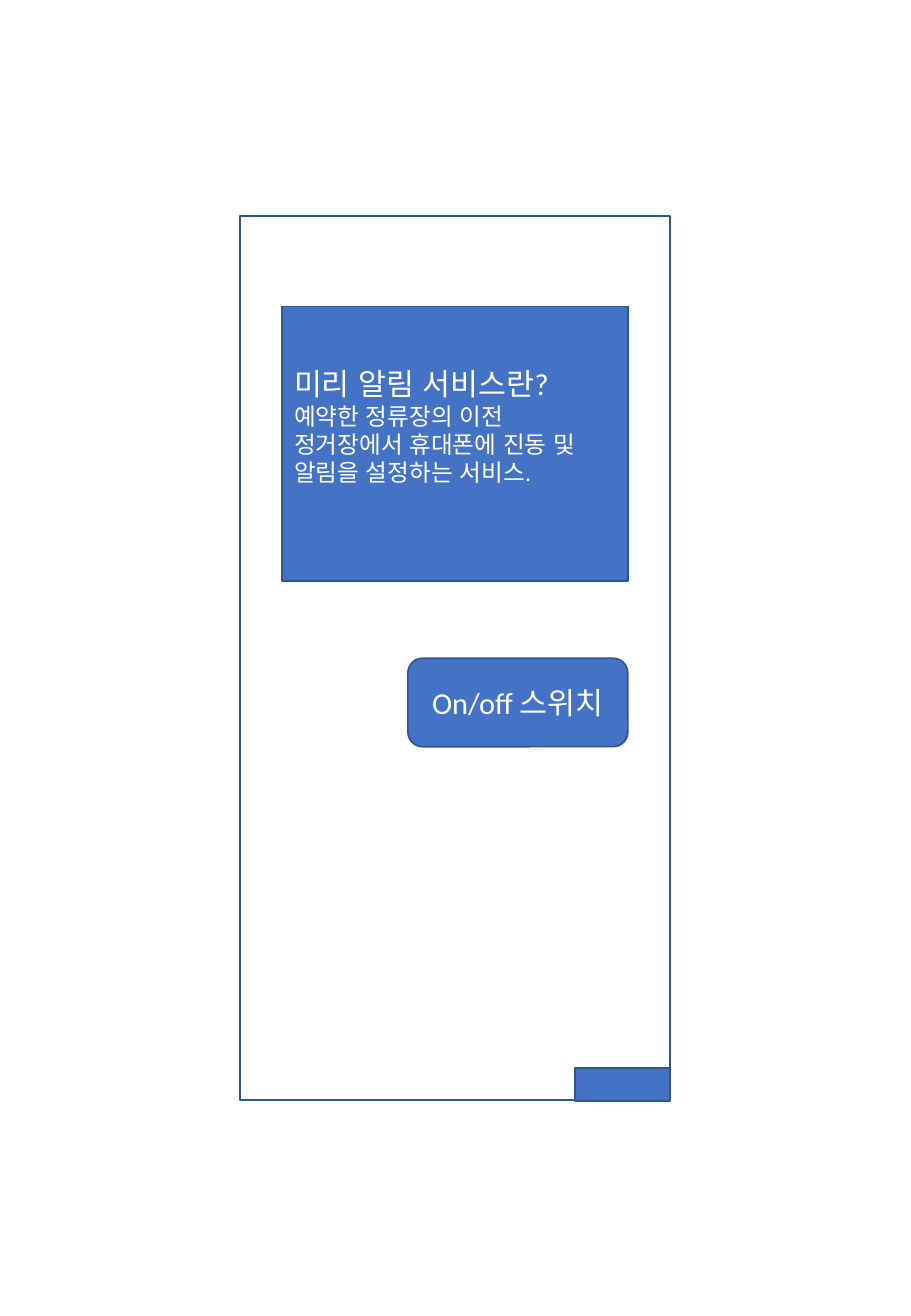
from dataclasses import dataclass

from pptx import Presentation
from pptx.dml.color import RGBColor
from pptx.enum.lang import MSO_LANGUAGE_ID
from pptx.enum.shapes import MSO_SHAPE
from pptx.enum.text import MSO_ANCHOR, PP_ALIGN
from pptx.util import Cm, Pt

RECTANGLE = MSO_SHAPE.RECTANGLE
ROUNDED = MSO_SHAPE.ROUNDED_RECTANGLE
MIDDLE = MSO_ANCHOR.MIDDLE
LEFT, CENTER = PP_ALIGN.LEFT, PP_ALIGN.CENTER
KOREAN = MSO_LANGUAGE_ID.KOREAN


@dataclass(frozen=True)
class Theme:
    fill: RGBColor = RGBColor(0x44, 0x72, 0xC4)
    outline: RGBColor = RGBColor(0x32, 0x54, 0x91)
    text: RGBColor = RGBColor(0xFF, 0xFF, 0xFF)
    font: str = "Calibri"
    large: int = 18
    body: int = 14
    line_width: float = 1


THEME = Theme()

# Content: (text, size) per paragraph
SERVICE_TEXT = [
    ("미리 알림 서비스란?", THEME.large),
    ("예약한 정류장의 이전 정거장에서 휴대폰에 진동 및 알림을 설정하는 서비스.", THEME.body),
]
SWITCH_TEXT = [("On/off 스위치", THEME.large)]

# Layout in centimetres: the card and switch share a right edge inside the screen
PAGE_WIDTH, PAGE_HEIGHT = 19.05, 27.51
SCREEN_LEFT, SCREEN_TOP, SCREEN_WIDTH, SCREEN_HEIGHT = 5.02, 4.51, 8.99, 18.49
SCREEN_RIGHT = SCREEN_LEFT + SCREEN_WIDTH
INSET = 0.88
CONTENT_RIGHT = SCREEN_RIGHT - INSET
CARD_TOP, CARD_HEIGHT = 6.41, 5.74
SWITCH_TOP, SWITCH_WIDTH, SWITCH_HEIGHT = 13.76, 4.6, 1.85
TAB_TOP, TAB_WIDTH, TAB_HEIGHT = 22.33, 1.98, 0.69
CARD_RIGHT_MARGIN, CARD_BOTTOM_MARGIN = 0.6, 0.88


def add_box(page, kind, left, top, width, height, filled=True):
    box = page.shapes.add_shape(kind, Cm(left), Cm(top), Cm(width), Cm(height))
    box.shadow.inherit = False
    if filled:
        box.fill.solid()
        box.fill.fore_color.rgb = THEME.fill
    else:
        box.fill.background()
    box.line.color.rgb = THEME.outline
    box.line.width = Pt(THEME.line_width)
    return box


def write(box, paragraphs, alignment):
    frame = box.text_frame
    frame.word_wrap = True
    frame.vertical_anchor = MIDDLE
    for index, (text, size) in enumerate(paragraphs):
        para = frame.add_paragraph() if index else frame.paragraphs[0]
        span = para.add_run()
        span.text = text
        span.font.language_id = KOREAN
        para.alignment = alignment
        para.font.name = THEME.font
        para.font.size = Pt(size)
        para.font.color.rgb = THEME.text


deck = Presentation()
deck.slide_width, deck.slide_height = Cm(PAGE_WIDTH), Cm(PAGE_HEIGHT)
page = deck.slides.add_slide(deck.slide_layouts[6])

# Phone screen
add_box(page, RECTANGLE, SCREEN_LEFT, SCREEN_TOP, SCREEN_WIDTH, SCREEN_HEIGHT, filled=False)

# Service description
card = add_box(page, RECTANGLE, SCREEN_LEFT + INSET, CARD_TOP, SCREEN_WIDTH - 2 * INSET, CARD_HEIGHT)
write(card, SERVICE_TEXT, LEFT)
card.text_frame.margin_right = Cm(CARD_RIGHT_MARGIN)
card.text_frame.margin_bottom = Cm(CARD_BOTTOM_MARGIN)

# Corner tab
add_box(page, RECTANGLE, SCREEN_RIGHT - TAB_WIDTH, TAB_TOP, TAB_WIDTH, TAB_HEIGHT)

# On/off switch
switch = add_box(page, ROUNDED, CONTENT_RIGHT - SWITCH_WIDTH, SWITCH_TOP, SWITCH_WIDTH, SWITCH_HEIGHT)
write(switch, SWITCH_TEXT, CENTER)

deck.save("out.pptx")
